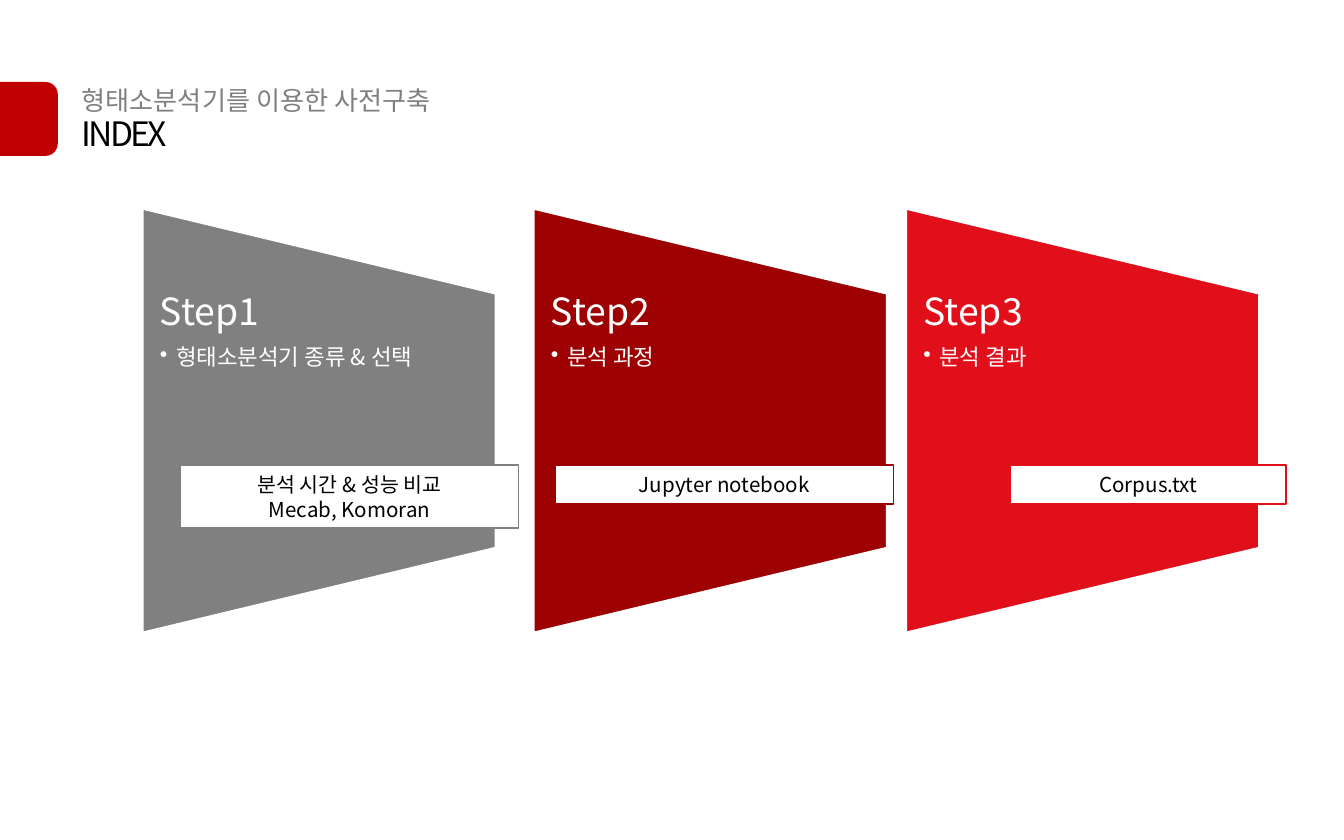
from lxml.etree import SubElement
from pptx import Presentation
from pptx.dml.color import RGBColor
from pptx.enum.shapes import MSO_SHAPE
from pptx.enum.text import MSO_ANCHOR, PP_ALIGN
from pptx.oxml.ns import qn
from pptx.util import Inches, Pt

FONT = "Noto Sans CJK KR"
COLORS = {
    "white": "FFFFFF",
    "black": "000000",
    "gray": "808080",
    "dark_red": "9D0101",
    "red": "E00F1A",
    "accent": "C00000",
}
STEPS = [
    (0.79, "gray", "Step1", "형태소분석기 종류 & 선택"),
    (3.7, "dark_red", "Step2", "분석 과정"),
    (6.47, "red", "Step3", "분석 결과"),
]
LABELS = [
    (1.34, 2.52, 0.47, "gray", ["분석 시간 & 성능 비교", "Mecab, Komoran"]),
    (4.13, 2.52, 0.29, "dark_red", ["Jupyter notebook"]),
    (7.52, 2.05, 0.29, "red", ["Corpus.txt"]),
]


def color(name):
    return RGBColor.from_string(COLORS[name])


def write(paragraph, text, size=11, fill="black", align=PP_ALIGN.LEFT,
          line=None, after=0, spacing=None, bullet=False):
    paragraph.alignment = align
    paragraph.space_after = Pt(after)
    if line:
        paragraph.line_spacing = line
    run = paragraph.add_run()
    run.text = text
    run.font.size = Pt(size)
    run.font.name = FONT
    run.font.color.rgb = color(fill)
    run_properties = run._r.get_or_add_rPr()
    SubElement(run_properties, qn("a:ea")).set("typeface", FONT)
    if spacing:
        run_properties.set("spc", str(round(spacing * 100)))
    if bullet:
        paragraph.level = 1
        properties = paragraph._p.get_or_add_pPr()
        properties.set("marL", str(Inches(0.12)))
        properties.set("indent", str(-Inches(0.12)))
        SubElement(properties, qn("a:buChar")).set("char", "•")


class SlideBuilder:
    """Hold the slide and the shared style of its elements."""

    def __init__(self, slide):
        self.slide = slide

    def shape(self, kind, left, top, width, height, fill, line=None, weight=1):
        shape = self.slide.shapes.add_shape(
            kind, Inches(left), Inches(top), Inches(width), Inches(height))
        shape.shadow.inherit = False
        shape.fill.solid()
        shape.fill.fore_color.rgb = color(fill)
        if line:
            shape.line.color.rgb = color(line)
            shape.line.width = Pt(weight)
        else:
            shape.line.fill.background()
        return shape

    def text_box(self, left, top, width, height):
        box = self.slide.shapes.add_textbox(
            Inches(left), Inches(top), Inches(width), Inches(height))
        box.text_frame.word_wrap = True
        return box.text_frame

    def heading(self, top, height, width, text, **style):
        frame = self.text_box(0.51, top, width, height)
        write(frame.paragraphs[0], text, **style)

    def step(self, left, fill, title, detail):
        panel = self.shape(MSO_SHAPE.FLOWCHART_MANUAL_OPERATION,
                           left, 1.81, 3.17, 2.64, fill, "white", 2)
        panel.rotation = 270
        frame = self.text_box(left + 0.26, 2.18, 2.64, 1.9)
        frame.margin_left = frame.margin_right = Inches(0.14)
        frame.margin_top = frame.margin_bottom = 0
        write(frame.paragraphs[0], title, size=20, fill="white", line=0.9, after=7)
        write(frame.add_paragraph(), detail, size=12, fill="white", line=0.9,
              after=1.8, bullet=True)

    def label(self, left, width, height, line, texts):
        shape = self.shape(MSO_SHAPE.RECTANGLE, left, 3.46, width, height,
                           "white", line, 0.75)
        frame = shape.text_frame
        frame.word_wrap = True
        frame.vertical_anchor = MSO_ANCHOR.MIDDLE
        for index, text in enumerate(texts):
            paragraph = frame.add_paragraph() if index else frame.paragraphs[0]
            write(paragraph, text, align=PP_ALIGN.CENTER)


def main():
    presentation = Presentation()
    presentation.slide_width = Inches(10)
    presentation.slide_height = Inches(6.25)
    builder = SlideBuilder(
        presentation.slides.add_slide(presentation.slide_layouts[6]))
    for step in STEPS:
        builder.step(*step)
    for label in LABELS:
        builder.label(*label)
    builder.heading(0.58, 0.34, 5.2, "형태소분석기를 이용한 사전구축",
                    size=14, fill="gray")
    builder.heading(0.79, 0.4, 2.28, "INDEX", size=18, spacing=-1.5)
    builder.shape(MSO_SHAPE.ROUNDED_RECTANGLE, -0.12, 0.61, 0.55, 0.55, "accent")
    presentation.save("out.pptx")


if __name__ == "__main__":
    main()
